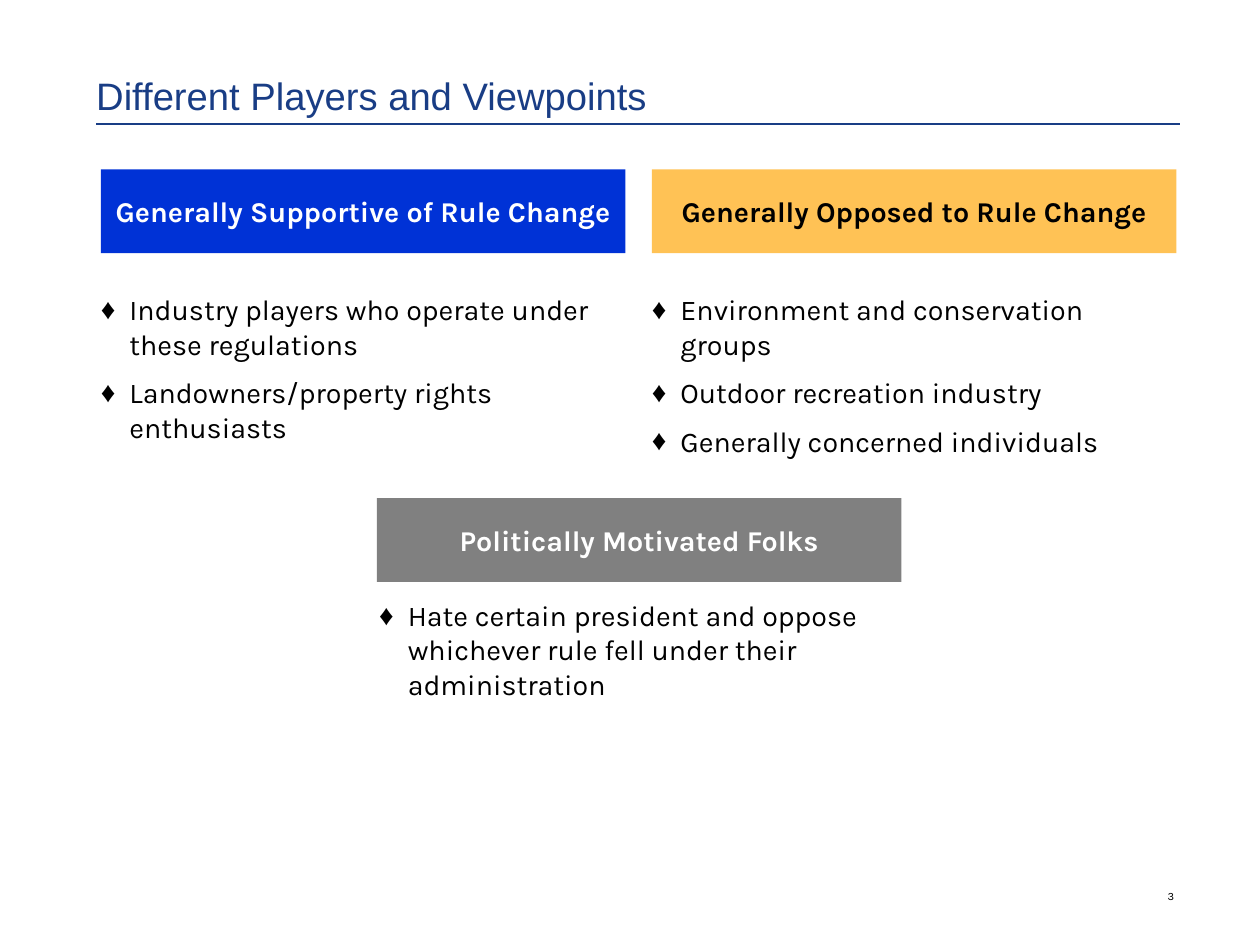
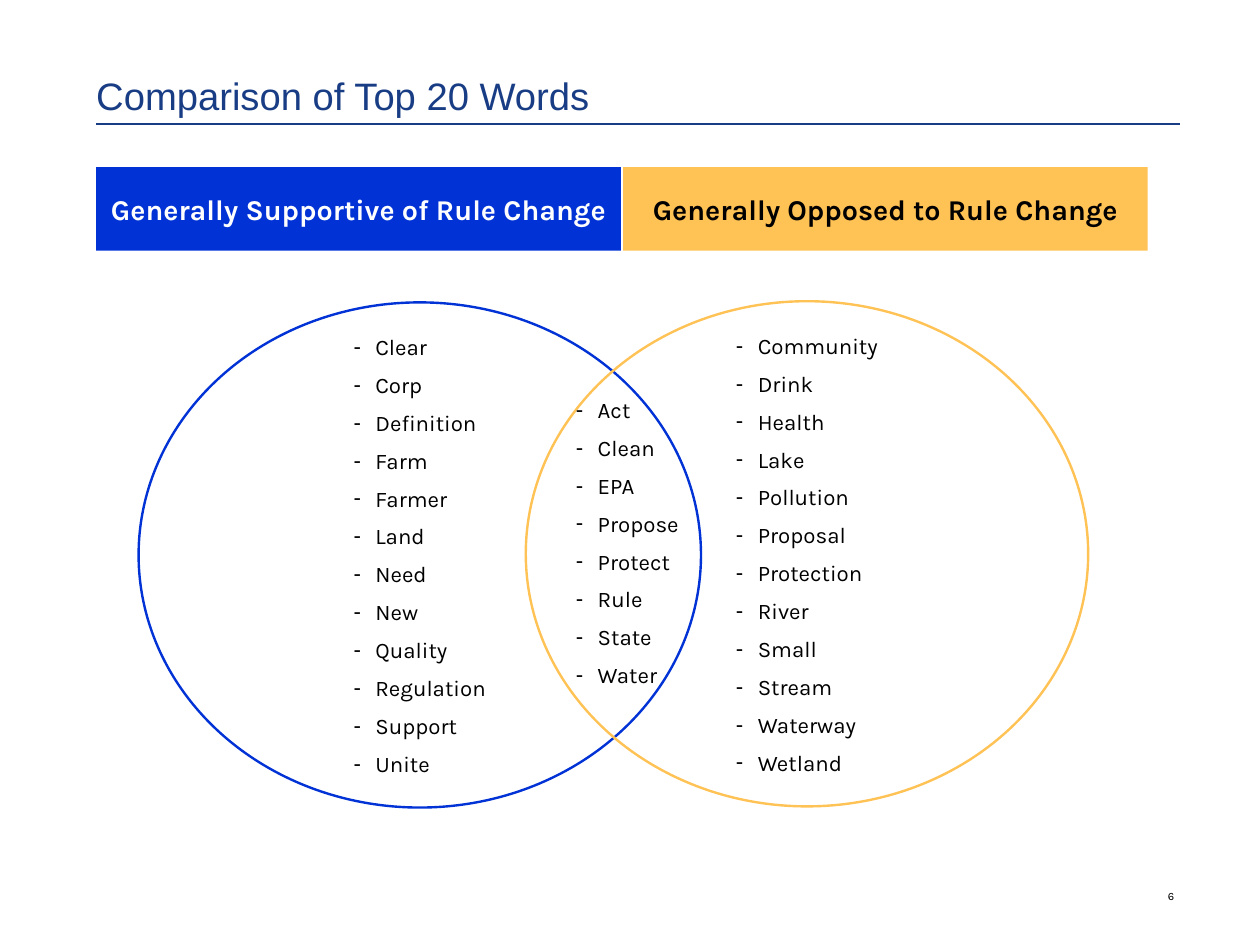
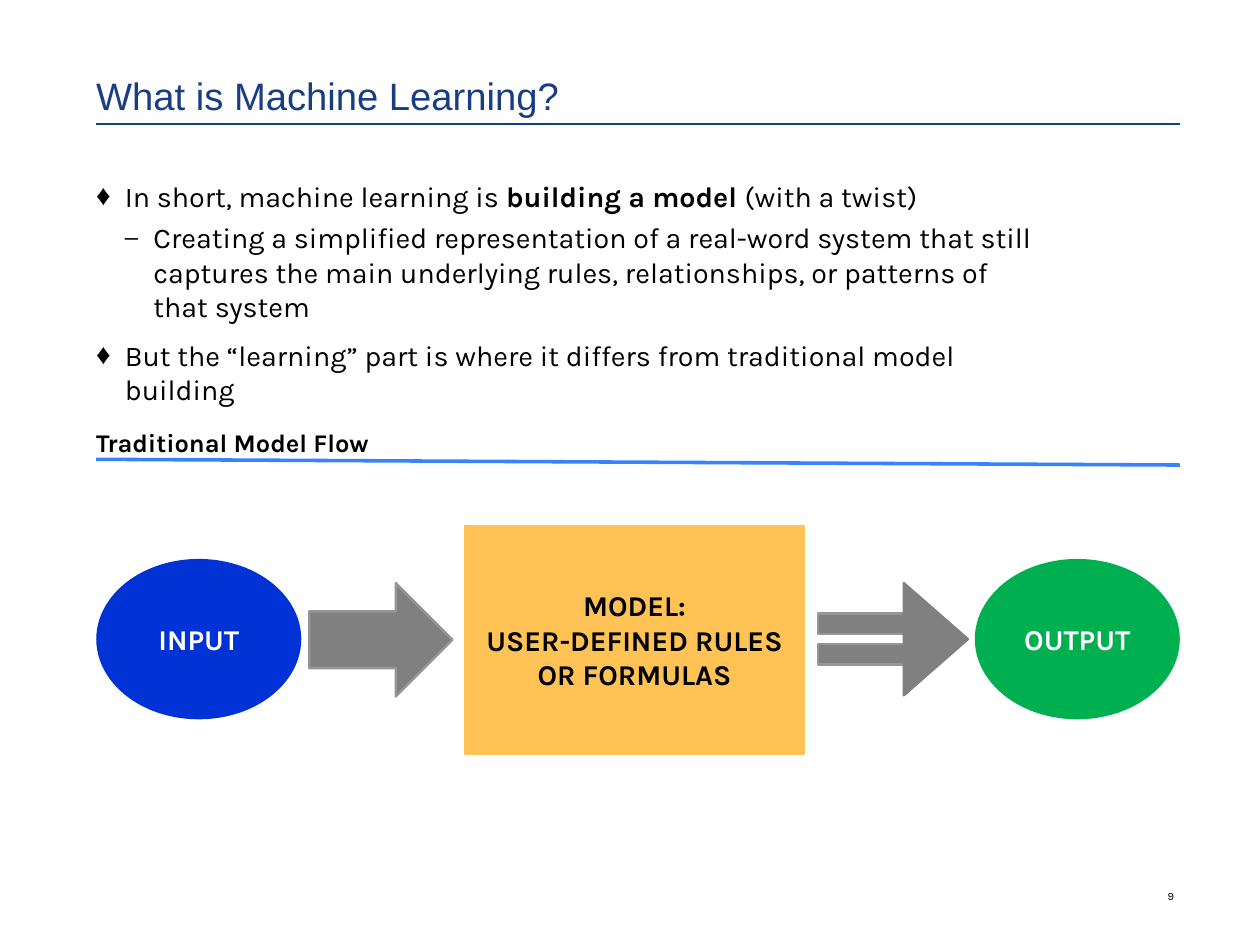
from collections import namedtuple

from lxml import etree
from pptx import Presentation
from pptx import util as u
from pptx.dml.color import RGBColor
from pptx.enum import shapes, text
from pptx.oxml import ns

PX = 9144  # 100 px to the inch
COLORS = {
    "navy": "193D85", "blue": "0032D6", "sky": "3783FF", "amber": "FFC255",
    "green": "00B050", "gray": "808080", "silver": "969696",
    "black": "000000", "white": "FFFFFF",
}
BODY, HEADING = "Karla", "Arial"
LEFT, CONTENT_W = 84, 946
BANNER_W, BANNER_H = 458, 73

# Space before is a share of the text size; margin and hang are px.
Style = namedtuple("Style", "char level margin hang space size_pct")
PLAIN = Style(None, 0, 0, 0, 0.5, 100)
DIAMOND = Style("♦", 1, 25, 25, 0.5, 100)
EN_DASH = Style("–", 2, 50, 25, 0.25, 84)
HYPHEN = Style("-", 0, 19, 19, 0.5, 100)

SHAPE = shapes.MSO_SHAPE
ALIGN = text.PP_ALIGN
ANCHOR = text.MSO_ANCHOR


def rgb(name):
    return RGBColor.from_string(COLORS[name])


def px(*lengths):
    return [u.Emu(n * PX) for n in lengths]


def add_child(parent, tag, **attrs):
    return etree.SubElement(parent, ns.qn(tag), **attrs)


def add_box(slide, kind, box, fill=None, line=None):
    """Add a flat preset shape; without a fill or line colour it has none."""
    sp = slide.shapes.add_shape(kind, *px(*box))
    sp.shadow.inherit = False
    if fill:
        sp.fill.solid()
        sp.fill.fore_color.rgb = rgb(fill)
    else:
        sp.fill.background()
    if line:
        sp.line.color.rgb = rgb(line)
        sp.line.width = u.Pt(1.5)
    else:
        sp.line.fill.background()
    return sp


def add_text_box(slide, box):
    return slide.shapes.add_textbox(*px(*box))


def add_rule(slide, x1, y1, x2, y2, color, width):
    cxn = slide.shapes.add_connector(shapes.MSO_CONNECTOR.STRAIGHT, *px(x1, y1, x2, y2))
    cxn.line.color.rgb = rgb(color)
    cxn.line.width = u.Pt(width)
    add_child(cxn._element.spPr, "a:effectLst")


def set_bullet(p, style):
    pPr = p._p.get_or_add_pPr()
    pPr.set("marL", str(style.margin * PX))
    pPr.set("indent", str(-style.hang * PX))
    add_child(add_child(pPr, "a:buClr"), "a:srgbClr", val=COLORS["black"])
    add_child(pPr, "a:buSzPct", val=str(style.size_pct * 1000))
    add_child(pPr, "a:buFont", typeface=HEADING)
    add_child(pPr, "a:buChar", char=style.char)


def write(sp, lines, size, color="black", bold=False, font=BODY, align=ALIGN.LEFT,
          anchor=ANCHOR.TOP, inset=(0, 0)):
    """Fill a shape with (style, words) lines; ** marks bold words."""
    tf = sp.text_frame
    tf.word_wrap = True
    tf.vertical_anchor = anchor
    tf.margin_left = tf.margin_right = u.Emu(inset[0] * PX)
    tf.margin_top = tf.margin_bottom = u.Emu(inset[1] * PX)
    for i, (style, words) in enumerate(lines):
        p = tf.add_paragraph() if i else tf.paragraphs[0]
        p.alignment = align
        p.level = style.level
        p.space_before = u.Pt(size * style.space)
        if style.char:
            set_bullet(p, style)
        p.font.name, p.font.size, p.font.bold = font, u.Pt(size), bold
        p.font.color.rgb = rgb(color)
        if "**" not in words:
            p.text = words
            continue
        for j, part in enumerate(words.split("**")):
            r = p.add_run()
            r.text = part
            if j % 2:
                r.font.bold = True


def add_label(slide, kind, box, words, fill, color="white", line=None):
    sp = add_box(slide, kind, box, fill, line)
    write(sp, [(PLAIN, words)], 18, color, bold=True, align=ALIGN.CENTER,
          anchor=ANCHOR.MIDDLE)


def add_banner(slide, x, y, words, fill, color="white"):
    add_label(slide, SHAPE.RECTANGLE, (x, y, BANNER_W, BANNER_H), words, fill, color)


def add_side_banners(slide, x, y, gap):
    add_banner(slide, x, y, "Generally Supportive of Rule Change", "blue")
    add_banner(slide, x + BANNER_W + gap, y, "Generally Opposed to Rule Change",
               "amber", "black")


def add_list(slide, box, lines):
    write(add_box(slide, SHAPE.RECTANGLE, box, "white"), lines, 18)


def add_slide(prs, title, number):
    """Add a blank slide with the shared title, rule and page number."""
    slide = prs.slides.add_slide(prs.slide_layouts[6])
    add_rule(slide, LEFT, 108, LEFT + CONTENT_W, 108, "navy", 1.5)
    write(add_text_box(slide, (LEFT, 0, CONTENT_W, 103)), [(PLAIN, title)], 24, "navy",
          font=HEADING, anchor=ANCHOR.BOTTOM)
    write(add_text_box(slide, (980, 747, 45, 41)), [(PLAIN, str(number))], 7,
          align=ALIGN.RIGHT, anchor=ANCHOR.BOTTOM)
    return slide


def players_slide(prs):
    slide = add_slide(prs, "Different Players and Viewpoints", 3)
    left, gap = 88, 23
    add_side_banners(slide, left, 148, gap)
    sides = [
        ["Industry players who operate under these regulations",
         "Landowners/property rights enthusiasts"],
        ["Environment and conservation groups", "Outdoor recreation industry",
         "Generally concerned individuals"],
    ]
    for i, points in enumerate(sides):
        add_list(slide, (left + i * (BANNER_W + gap), 255, BANNER_W, 222),
                 [(DIAMOND, point) for point in points])
    add_banner(slide, 329, 435, "Politically Motivated Folks", "gray")
    add_list(slide, (331, 522, BANNER_W, 121),
             [(DIAMOND, "Hate certain president and oppose whichever rule fell "
                        "under their administration")])


def add_venn(slide, x, y):
    """Draw two overlapping word sets and the words they share."""
    sets = [
        (0, 1, "blue", "Clear Corp Definition Farm Farmer Land Need New Quality "
                       "Regulation Support Unite"),
        (338, 0, "amber", "Community Drink Health Lake Pollution Proposal Protection "
                          "River Small Stream Waterway Wetland"),
    ]
    for dx, dy, color, words in sets:
        sp = add_box(slide, SHAPE.OVAL, (x + dx, y + dy, 491, 441), line=color)
        write(sp, [(HYPHEN, word) for word in words.split()], 14, anchor=ANCHOR.MIDDLE)
        sp.text_frame._txBody.bodyPr.set("anchorCtr", "1")
    shared = "Act Clean EPA Propose Protect Rule State Water"
    write(add_text_box(slide, (x + 372, y + 78, 133, 281)),
          [(HYPHEN, word) for word in shared.split()], 14, inset=(10, 5))


def words_slide(prs):
    slide = add_slide(prs, "Comparison of Top 20 Words", 6)
    add_venn(slide, 121, 263)
    add_side_banners(slide, LEFT, 146, 2)


def add_model_flow(slide, x, y):
    """Draw input, model and output in a row, joined by arrows."""
    oval_w, oval_h = 179, 140
    add_label(slide, SHAPE.OVAL, (x, y + 29, oval_w, oval_h), "INPUT", "blue")
    add_box(slide, SHAPE.RIGHT_ARROW, (x + 186, y + 50, 125, 99), "gray", "silver")
    add_label(slide, SHAPE.RECTANGLE, (x + 322, y, 296, 199),
              "MODEL:\vUSER-DEFINED RULES OR FORMULAS", "amber", "black", "amber")
    add_box(slide, SHAPE.MATH_EQUAL, (x + 616, y + 61, 105, 76), "gray", "silver")
    head = add_box(slide, SHAPE.ISOSCELES_TRIANGLE, (x + 684, y + 71, 98, 56),
                   "gray", "gray")
    head.rotation = 90
    add_label(slide, SHAPE.OVAL, (x + CONTENT_W - oval_w, y + 29, oval_w, oval_h),
              "OUTPUT", "green")


def learning_slide(prs):
    slide = add_slide(prs, "What is Machine Learning?", 9)
    add_list(slide, (LEFT, 156, 827, 178), [
        (DIAMOND, "In short, machine learning is **building a model **(with a twist)"),
        (EN_DASH, "Creating a simplified representation of a real-word system that still "
                  "captures the main underlying rules, relationships, or patterns of "
                  "that system"),
        (DIAMOND, "But the “learning” part is where it differs from traditional model "
                  "building"),
    ])
    write(add_text_box(slide, (LEFT, 367, 458, 39)), [(PLAIN, "Traditional Model Flow")],
          16, bold=True, anchor=ANCHOR.MIDDLE)
    add_rule(slide, LEFT, 401, LEFT + CONTENT_W, 406, "sky", 2.25)
    add_model_flow(slide, LEFT, 459)


def main():
    prs = Presentation()
    prs.slide_width, prs.slide_height = px(1100, 825)
    players_slide(prs)
    words_slide(prs)
    learning_slide(prs)
    prs.save("out.pptx")


if __name__ == "__main__":
    main()
